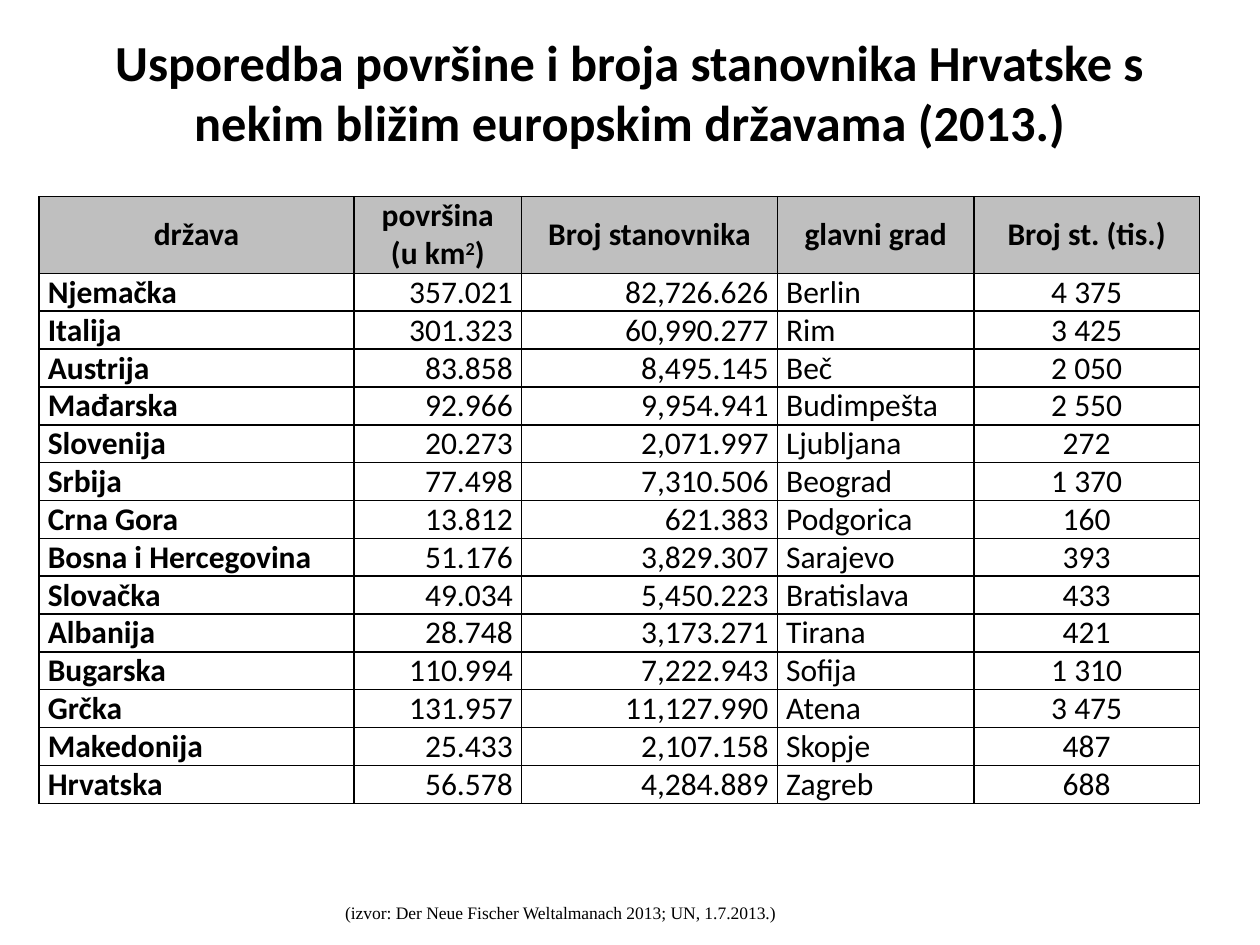
from typing import NamedTuple

import pptx
import pptx.dml.color
import pptx.enum.text
import pptx.oxml
import pptx.oxml.ns
import pptx.util
from pptx.util import Inches

Align = pptx.enum.text.PP_ALIGN
Anchor = pptx.enum.text.MSO_ANCHOR
INK = "000000"
HEADER_FILL = "BFBFBF"


class Column(NamedTuple):
    heading: str
    width: float
    align: Align
    bold: bool = False


class Country(NamedTuple):
    name: str
    area: str
    population: str
    capital: str
    capital_population: str


COLUMNS = [
    Column("država", 2.5, Align.LEFT, True),
    Column("površina\n(u km²)", 1.33, Align.RIGHT),
    Column("Broj stanovnika", 2.03, Align.RIGHT),
    Column("glavni grad", 1.56, Align.LEFT),
    Column("Broj st. (tis.)", 1.79, Align.CENTER),
]
COUNTRIES = [
    Country("Njemačka", "357.021", "82,726.626", "Berlin", "4 375"),
    Country("Italija", "301.323", "60,990.277", "Rim", "3 425"),
    Country("Austrija", "83.858", "8,495.145", "Beč", "2 050"),
    Country("Mađarska", "92.966", "9,954.941", "Budimpešta", "2 550"),
    Country("Slovenija", "20.273", "2,071.997", "Ljubljana", "272"),
    Country("Srbija", "77.498", "7,310.506", "Beograd", "1 370"),
    Country("Crna Gora", "13.812", "621.383", "Podgorica", "160"),
    Country("Bosna i Hercegovina", "51.176", "3,829.307", "Sarajevo", "393"),
    Country("Slovačka", "49.034", "5,450.223", "Bratislava", "433"),
    Country("Albanija", "28.748", "3,173.271", "Tirana", "421"),
    Country("Bugarska", "110.994", "7,222.943", "Sofija", "1 310"),
    Country("Grčka", "131.957", "11,127.990", "Atena", "3 475"),
    Country("Makedonija", "25.433", "2,107.158", "Skopje", "487"),
    Country("Hrvatska", "56.578", "4,284.889", "Zagreb", "688"),
]


def color(hex_code: str) -> pptx.dml.color.RGBColor:
    return pptx.dml.color.RGBColor.from_string(hex_code)


def write(frame, text: str, size: float, align: Align, bold: bool = False,
          font_name: str = "Calibri") -> None:
    for index, line in enumerate(text.split("\n")):
        paragraph = frame.add_paragraph() if index else frame.paragraphs[0]
        paragraph.alignment = align
        before, mark, after = line.partition("²")
        paragraph.add_run().text = before
        if mark:
            exponent = paragraph.add_run()
            exponent.text = "2"
            exponent.font._element.set("baseline", "30000")
            paragraph.add_run().text = after
        font = paragraph.font
        font.name, font.size, font.bold = font_name, pptx.util.Pt(size), bold
        font.color.rgb = color(INK)


def add_borders(cell) -> None:
    properties = cell._tc.get_or_add_tcPr()
    for position, side in enumerate(("lnL", "lnR", "lnT", "lnB")):
        properties.insert(position, pptx.oxml.parse_xml(
            f'<a:{side} {pptx.oxml.ns.nsdecls("a")} w="12700"><a:solidFill>'
            f'<a:srgbClr val="{INK}"/></a:solidFill></a:{side}>'))


def fill_cell(cell, text: str, align: Align, bold: bool, header: bool) -> None:
    cell.margin_left = cell.margin_right = Inches(0.07)
    cell.margin_top = cell.margin_bottom = 0
    cell.vertical_anchor = Anchor.MIDDLE if header else Anchor.BOTTOM
    if header:
        cell.fill.solid()
        cell.fill.fore_color.rgb = color(HEADER_FILL)
    else:
        cell.fill.background()
    write(cell.text_frame, text, 18, align, bold)
    add_borders(cell)


def add_country_table(slide) -> None:
    header_height, row_height = 0.61, 0.3
    table = slide.shapes.add_table(
        len(COUNTRIES) + 1, len(COLUMNS), Inches(0.31), Inches(1.56),
        Inches(sum(column.width for column in COLUMNS)),
        Inches(header_height + row_height * len(COUNTRIES))).table
    table.horz_banding = False
    for row in table.rows:
        row.height = Inches(row_height)
    table.rows[0].height = Inches(header_height)
    for c, column in enumerate(COLUMNS):
        table.columns[c].width = Inches(column.width)
        fill_cell(table.cell(0, c), column.heading, Align.CENTER, True, True)
        for r, country in enumerate(COUNTRIES, start=1):
            fill_cell(table.cell(r, c), country[c], column.align, column.bold, False)


def add_text_area(slide, left: float, top: float, width: float, height: float):
    frame = slide.shapes.add_textbox(
        Inches(left), Inches(top), Inches(width), Inches(height)).text_frame
    frame.vertical_anchor = Anchor.MIDDLE
    return frame


def main() -> None:
    presentation = pptx.Presentation()
    presentation.slide_width, presentation.slide_height = Inches(10), Inches(7.5)
    slide = presentation.slides.add_slide(presentation.slide_layouts[6])

    title = add_text_area(slide, 0.5, 0.3, 9, 0.85)
    title.word_wrap = True
    write(title, "Usporedba površine i broja stanovnika Hrvatske s nekim bližim "
          "europskim državama (2013.)", 28.8, Align.CENTER, True)

    add_country_table(slide)

    citation = add_text_area(slide, 2.64, 6.99, 10, 0.5)
    citation.word_wrap = False
    citation.auto_size = pptx.enum.text.MSO_AUTO_SIZE.SHAPE_TO_FIT_TEXT
    write(citation, "(izvor: Der Neue Fischer Weltalmanach 2013; UN, 1.7.2013.)",
          10, Align.JUSTIFY, font_name="Times New Roman")

    presentation.save("out.pptx")


if __name__ == "__main__":
    main()
